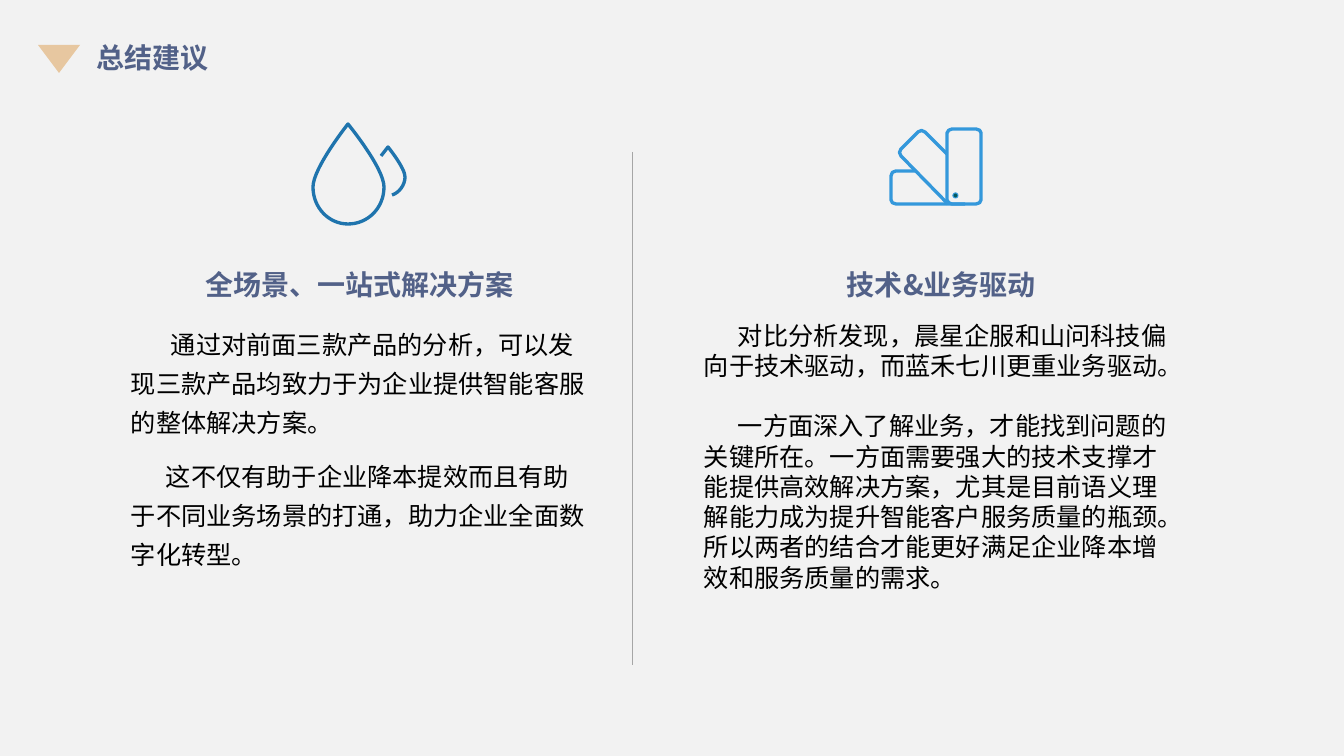
from dataclasses import dataclass

from lxml import etree
from pptx import Presentation
from pptx import util as u
from pptx.dml.color import RGBColor
from pptx.enum import shapes, text
from pptx.oxml.ns import qn

SCALE = 914400 / 100.8
FONT = "Noto Sans CJK SC"
PAPER, SAND, SLATE, GREY = "F2F2F2", "E7C7A0", "526188", "A6A6A6"
BLACK, DEEP_BLUE, BLUE, TEAL = "000000", "1F74AD", "3498DB", "03595D"

Point = tuple[int, int]


@dataclass
class Outline:
    """A path whose steps hold one point (straight) or three (Bezier)."""
    start: Point
    steps: list[tuple[Point, ...]]
    color: str
    closed: bool = False


@dataclass
class TextBlock:
    """A text box with one shared paragraph style; gap is in points."""
    box: tuple[int, int, int, int]
    paragraphs: list[str]
    size: int = 18
    color: str = BLACK
    bold: bool = False
    centered: bool = False
    spacing: float = 1.0
    gap: float = 0
    indents: tuple[int, ...] = (0,)


def px(value: float) -> u.Emu:
    """Turn pixels into EMU."""
    return u.Emu(round(value * SCALE))


def rgb(color: str) -> RGBColor:
    """Turn a hex string into a colour."""
    return RGBColor.from_string(color)


def bend(shape, outline: Outline) -> None:
    """Turn the straight segments of curved steps into Bezier segments."""
    segments = list(shape._element.iter(qn("a:lnTo")))
    for segment, step in zip(segments, outline.steps):
        if len(step) == 3:
            curve = etree.Element(qn("a:cubicBezTo"))
            for x, y in step:
                etree.SubElement(curve, qn("a:pt"), x=str(px(x) - shape.left),
                                 y=str(px(y) - shape.top))
            segment.getparent().replace(segment, curve)


def draw_outline(page, outline: Outline) -> None:
    """Draw an unfilled icon outline."""
    builder = page.shapes.build_freeform(*map(px, outline.start))
    ends = [step[-1] for step in outline.steps]
    builder.add_line_segments([(px(x), px(y)) for x, y in ends], close=outline.closed)
    shape = builder.convert_to_shape()
    bend(shape, outline)
    shape.shadow.inherit = False
    shape.fill.background()
    shape.line.color.rgb = rgb(outline.color)
    shape.line.width = u.Pt(2.38)


def draw_shape(page, kind, box: tuple[int, int, int, int], fill: str):
    """Draw a filled preset shape without a line."""
    shape = page.shapes.add_shape(kind, *map(px, box))
    shape.shadow.inherit = False
    shape.fill.solid()
    shape.fill.fore_color.rgb = rgb(fill)
    shape.line.fill.background()
    return shape


def draw_text(page, block: TextBlock) -> None:
    """Draw a text block; centred blocks are also centred vertically."""
    frame = page.shapes.add_textbox(*map(px, block.box)).text_frame
    frame.word_wrap = True
    if block.centered:
        frame.vertical_anchor = text.MSO_ANCHOR.MIDDLE
    for index, (words, indent) in enumerate(zip(block.paragraphs, block.indents)):
        para = frame.add_paragraph() if index else frame.paragraphs[0]
        para.text = words
        para.line_spacing = block.spacing
        para.space_before = u.Pt(block.gap)
        if block.centered:
            para.alignment = text.PP_ALIGN.CENTER
        font = para.font
        font.name, font.size, font.bold = FONT, u.Pt(block.size), block.bold
        font.color.rgb = rgb(block.color)
        properties = para._p.get_or_add_pPr()
        properties.set("indent", str(px(indent)))
        etree.SubElement(properties.find(qn("a:defRPr")), qn("a:ea"), typeface=FONT)


def draw_divider(page, x: int, top: int, bottom: int) -> None:
    """Draw the thin vertical line between the columns."""
    line = page.shapes.add_connector(shapes.MSO_CONNECTOR.STRAIGHT,
                                     px(x), px(top), px(x), px(bottom))
    line.line.color.rgb = rgb(GREY)
    line.line.width = u.Pt(0.5)
    etree.SubElement(line._element.spPr, qn("a:effectLst"))


HEADING = dict(size=20, color=SLATE, bold=True)
COLUMN_HEADING = dict(HEADING, centered=True, spacing=1.2)

TEXTS = [
    TextBlock((87, 36, 342, 44), ["总结建议"], **HEADING),
    TextBlock((121, 315, 479, 376), [
        "通过对前面三款产品的分析，可以发现三款产品均致力于为企业提供智能客服的整体解决方案。",
        "这不仅有助于企业降本提效而且有助于不同业务场景的打通，助力企业全面数字化转型。",
    ], spacing=1.3, gap=10, indents=(40, 35)),
    TextBlock((115, 248, 489, 66), ["全场景、一站式解决方案"], **COLUMN_HEADING),
    TextBlock((694, 315, 488, 376), [
        "对比分析发现，晨星企服和山问科技偏向于技术驱动，而蓝禾七川更重业务驱动。",
        "一方面深入了解业务，才能找到问题的关键所在。一方面需要强大的技术支撑才能提供高效解决方案，"
        "尤其是目前语义理解能力成为提升智能客户服务质量的瓶颈。"
        "所以两者的结合才能更好满足企业降本增效和服务质量的需求。",
    ], gap=21.6, indents=(34, 34)),
    TextBlock((696, 248, 491, 66), ["技术&业务驱动"], **COLUMN_HEADING),
]

LARGE_DROP = Outline((384, 187), [
    ((384, 208), (368, 224), (348, 224)), ((329, 224), (313, 208), (313, 187)),
    ((313, 168), (348, 124), (348, 124)), ((348, 124), (384, 168), (384, 187)),
], DEEP_BLUE, closed=True)
SMALL_DROP = Outline((381, 156), [
    ((388, 147),), ((388, 147), (405, 168), (405, 177)),
    ((405, 185), (399, 193), (392, 195)),
], DEEP_BLUE)
FLAT_SWATCH = Outline((916, 171), [
    ((896, 171),), ((893, 171), (891, 173), (891, 176)),
    ((891, 200),), ((891, 202), (893, 204), (896, 204)), ((965, 204),),
], BLUE)
TILTED_SWATCH = Outline((947, 154), [
    ((925, 132),), ((923, 130), (920, 130), (918, 132)),
    ((901, 149),), ((899, 151), (899, 154), (901, 156)), ((948, 204),),
], BLUE)
UPRIGHT_SWATCH = Outline((976, 204), [
    ((979, 204), (981, 202), (981, 200)),
    ((981, 133),), ((981, 131), (979, 129), (976, 129)),
    ((952, 129),), ((950, 129), (947, 131), (947, 133)),
    ((947, 200),), ((947, 202), (950, 204), (952, 204)),
], BLUE, closed=True)

deck = Presentation()
deck.slide_width, deck.slide_height = px(1344), px(756)
page = deck.slides.add_slide(deck.slide_layouts[6])
page.background.fill.solid()
page.background.fill.fore_color.rgb = rgb(PAPER)

marker = draw_shape(page, shapes.MSO_SHAPE.ISOSCELES_TRIANGLE, (38, 45, 42, 28), SAND)
marker.rotation = 180
draw_divider(page, 632, 152, 665)
for icon_part in (LARGE_DROP, SMALL_DROP, FLAT_SWATCH, TILTED_SWATCH, UPRIGHT_SWATCH):
    draw_outline(page, icon_part)
rivet = draw_shape(page, shapes.MSO_SHAPE.OVAL, (953, 193, 5, 5), TEAL)
rivet.line.color.rgb = rgb(BLUE)
rivet.line.width = u.Pt(0.75)
for block in TEXTS:
    draw_text(page, block)

deck.save("out.pptx")
